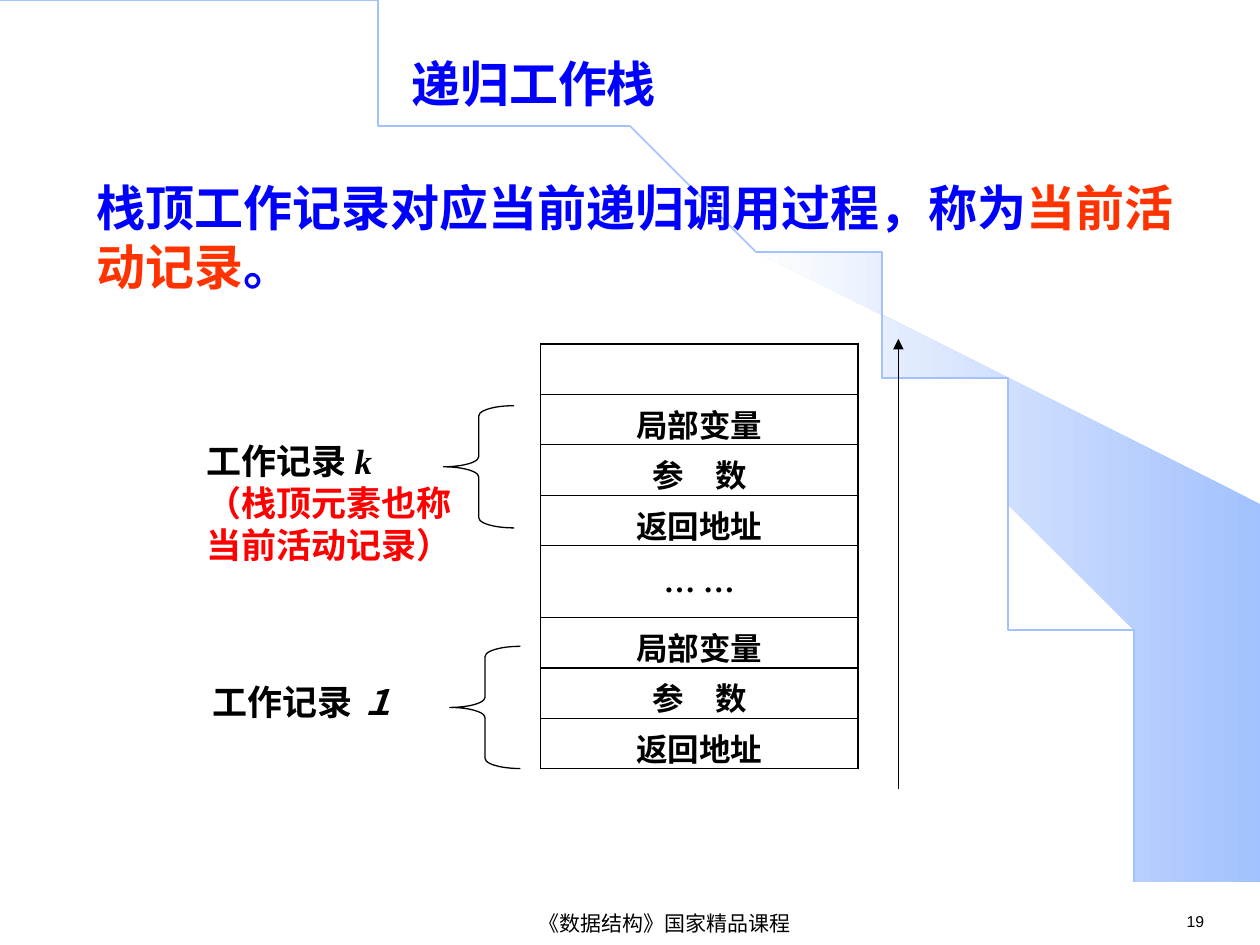
from math import cos, pi, sin

from pptx import Presentation
from pptx.dml.color import RGBColor
from pptx.enum.shapes import MSO_CONNECTOR as CONN, MSO_SHAPE as SHAPE
from pptx.enum.text import MSO_ANCHOR as ANCHOR, PP_ALIGN as ALIGN
from pptx.oxml.ns import qn
from pptx.util import Inches, Pt
from lxml.etree import SubElement

COLORS = {"black": "000000", "blue": "0000FF", "red": "FF0000",
          "orange": "FF3300", "sky": "A2C1FE", "pale": "FEFEFE"}
CJK, SERIF, SANS = "Noto Sans CJK SC", "Times New Roman", "Arial"


def rgb(name):
    return RGBColor.from_string(COLORS[name])


class SlideBuilder:
    """Holds the style and the current slide."""

    thin = Pt(0.75)

    def __init__(self, slide):
        self.slide = slide
        self.shapes = slide.shapes

    def fill_text(self, tf, paragraphs, font, size, bold=True, color="black",
                  align=ALIGN.LEFT):
        """Each paragraph is a list of (text, format overrides)."""
        for i, runs in enumerate(paragraphs):
            p = tf.paragraphs[0] if i == 0 else tf.add_paragraph()
            p.alignment = align
            for text, changes in runs:
                r = p.add_run()
                r.text = text
                fmt = {"name": font, "size": Pt(size), "bold": bold, "color": color}
                fmt.update(changes)
                r.font.color.rgb = rgb(fmt.pop("color"))
                for key, value in fmt.items():
                    setattr(r.font, key, value)
                SubElement(r.font._element, qn("a:ea"), typeface=CJK)

    def title(self, text, x, y, w, h):
        s = self.shapes.title
        s.left, s.top, s.width, s.height = map(Inches, (x, y, w, h))
        s.text_frame.vertical_anchor = ANCHOR.MIDDLE
        self.fill_text(s.text_frame, [[(text, {})]], CJK, 28, color="blue",
                       align=ALIGN.CENTER)

    def text(self, paragraphs, x, y, w, h, font, size, anchor=ANCHOR.TOP, **fmt):
        tf = self.shapes.add_textbox(*map(Inches, (x, y, w, h))).text_frame
        tf.word_wrap = True
        tf.vertical_anchor = anchor
        self.fill_text(tf, paragraphs, font, size, **fmt)

    def outline(self, points, closed):
        fb = self.shapes.build_freeform(*points[0], scale=Inches(1))
        fb.add_line_segments(points[1:], close=closed)
        s = fb.convert_to_shape()
        s.shadow.inherit = False
        return s

    def wedge(self, points):
        s = self.outline(points, True)
        s.line.fill.background()
        s.fill.gradient()
        s.fill.gradient_angle = 180
        for stop, color in zip(s.fill.gradient_stops, ("sky", "pale")):
            stop.color.rgb = rgb(color)

    def arc(self, rx, ry, steps=90):
        """Quarter ellipse from the top left corner to the bottom edge."""
        angles = [pi / 2 * i / steps for i in range(steps + 1)]
        s = self.outline([(rx * sin(a), ry * (1 - cos(a))) for a in angles], False)
        s.fill.background()
        s.line.color.rgb = rgb("sky")
        s.line.width = Pt(1)

    def brace(self, x, y, w=0.56, h=0.97):
        s = self.shapes.add_shape(SHAPE.LEFT_BRACE, *map(Inches, (x, y, w, h)))
        s.adjustments[0] = 0.145
        s.shadow.inherit = False
        s.fill.background()
        s.line.color.rgb = rgb("black")
        s.line.width = self.thin

    def arrow(self, x1, y1, x2, y2):
        s = self.shapes.add_connector(CONN.STRAIGHT, *map(Inches, (x1, y1, x2, y2)))
        s.line.color.rgb = rgb("black")
        s.line.width = self.thin
        SubElement(s.line._get_or_add_ln(), qn("a:tailEnd"), type="triangle")
        SubElement(s._element.spPr, qn("a:effectLst"))

    def border(self, cell):
        tcPr = cell._tc.get_or_add_tcPr()
        for i, side in enumerate(("lnL", "lnR", "lnT", "lnB")):
            ln = tcPr.makeelement(qn(f"a:{side}"), {"w": str(int(self.thin))})
            fill = SubElement(ln, qn("a:solidFill"))
            SubElement(fill, qn("a:srgbClr"), val=COLORS["black"])
            tcPr.insert(i, ln)

    def stack(self, rows, x, y, w):
        """Rows are (text, height, anchor)."""
        h = sum(height for _, height, _ in rows)
        table = self.shapes.add_table(len(rows), 1, *map(Inches, (x, y, w, h))).table
        table.first_row = table.horz_banding = False
        for i, (text, height, anchor) in enumerate(rows):
            table.rows[i].height = Inches(height)
            cell = table.cell(i, 0)
            cell.fill.background()
            cell.vertical_anchor = anchor
            cell.margin_left = cell.margin_right = Inches(0.1)
            cell.margin_top = cell.margin_bottom = Inches(0.05)
            self.border(cell)
            if text:
                self.fill_text(cell.text_frame, [[(text, {})]], SERIF, 18,
                               align=ALIGN.CENTER)


def main():
    prs = Presentation()
    prs.slide_width, prs.slide_height = Inches(10), Inches(7.5)
    b = SlideBuilder(prs.slides.add_slide(prs.slide_layouts[5]))

    # Background sweep
    b.wedge([(9.2, 7.48), (9.99, 7.49), (9.99, 4.23), (5.89, 1.73), (6.24, 1.99),
             (6.53, 2.22), (6.85, 2.5), (7.16, 2.8), (7.62, 3.3), (8.03, 3.84),
             (8.32, 4.31), (8.58, 4.79), (8.78, 5.28), (8.93, 5.72), (9.03, 6.09),
             (9.13, 6.56), (9.17, 6.96)])
    b.arc(9.2, 7.49)

    # Footer and page number
    b.text([[("19", {})]], 9.32, 7.19, 0.68, 0.25, SANS, 9, bold=False)
    b.text([[("《数据结构》国家精品课程", {})]], 2.4, 7.21, 5.75, 0.24, SANS, 12,
           anchor=ANCHOR.MIDDLE, bold=False, align=ALIGN.CENTER)

    # Title and statement
    b.title("递归工作栈", 0.9, 0.28, 6.67, 0.75)
    b.text([[("栈顶工作记录对应当前递归调用过程，称为", {}),
             ("当前活动记录", {"color": "orange"}), ("。", {})]],
           0.67, 1.23, 8.74, 1.3, CJK, 28, anchor=ANCHOR.MIDDLE, color="blue")

    # Stack with its growth direction
    record = [(text, 0.4, ANCHOR.TOP) for text in ("局部变量", "参　数", "返回地址")]
    b.stack([("", 0.4, ANCHOR.TOP), *record, ("… …", 0.57, ANCHOR.MIDDLE), *record],
            4.29, 2.73, 2.52)
    b.arrow(7.13, 6.26, 7.13, 2.69)

    # Braces and record labels
    top_note = [("（栈顶元素也称当前活动记录）", {"color": "red"})]
    for x, y, index, notes in ((1.54, 3.22, "k", [top_note]), (1.59, 5.13, "１", [])):
        b.brace(x + 1.98, y)
        label = [("工作记录 ", {}), (index, {"italic": True})]
        b.text([label, *notes], x, y + 0.22, 2.21, 0.48, SERIF, 20)

    prs.save("out.pptx")


if __name__ == "__main__":
    main()
